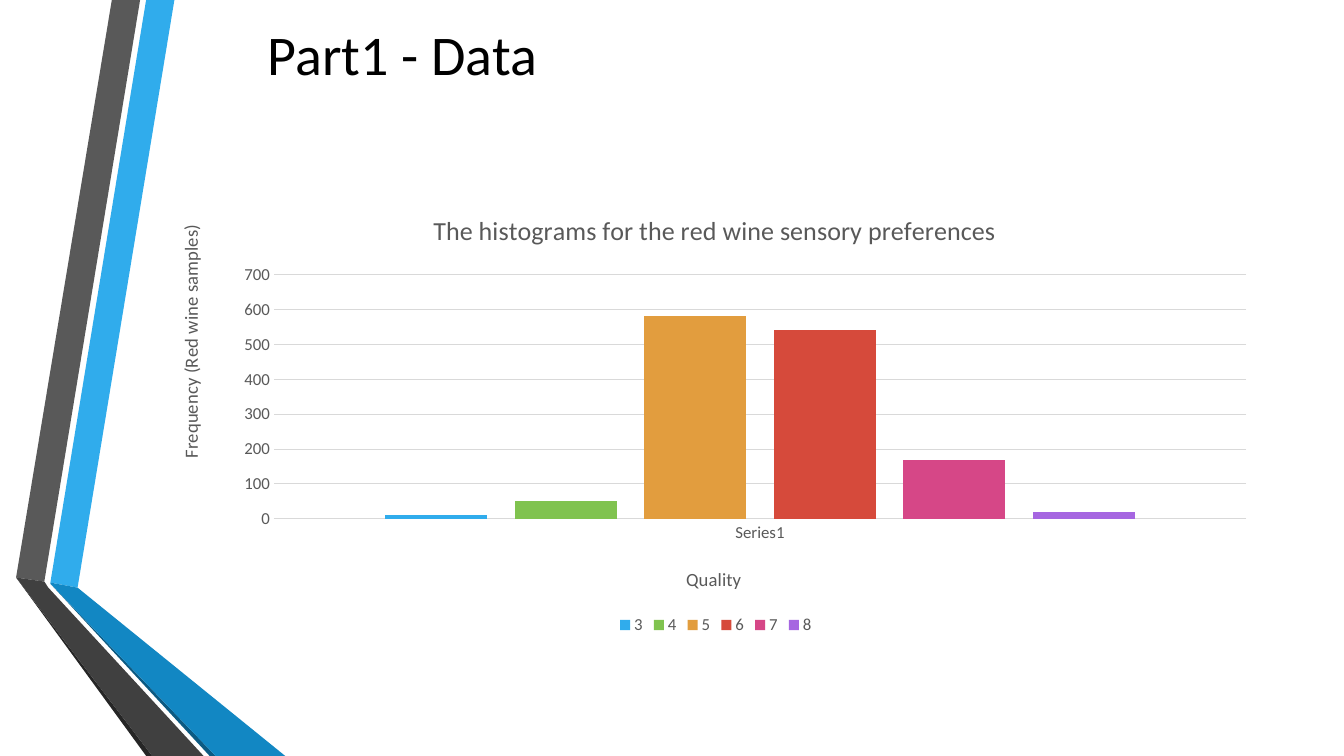
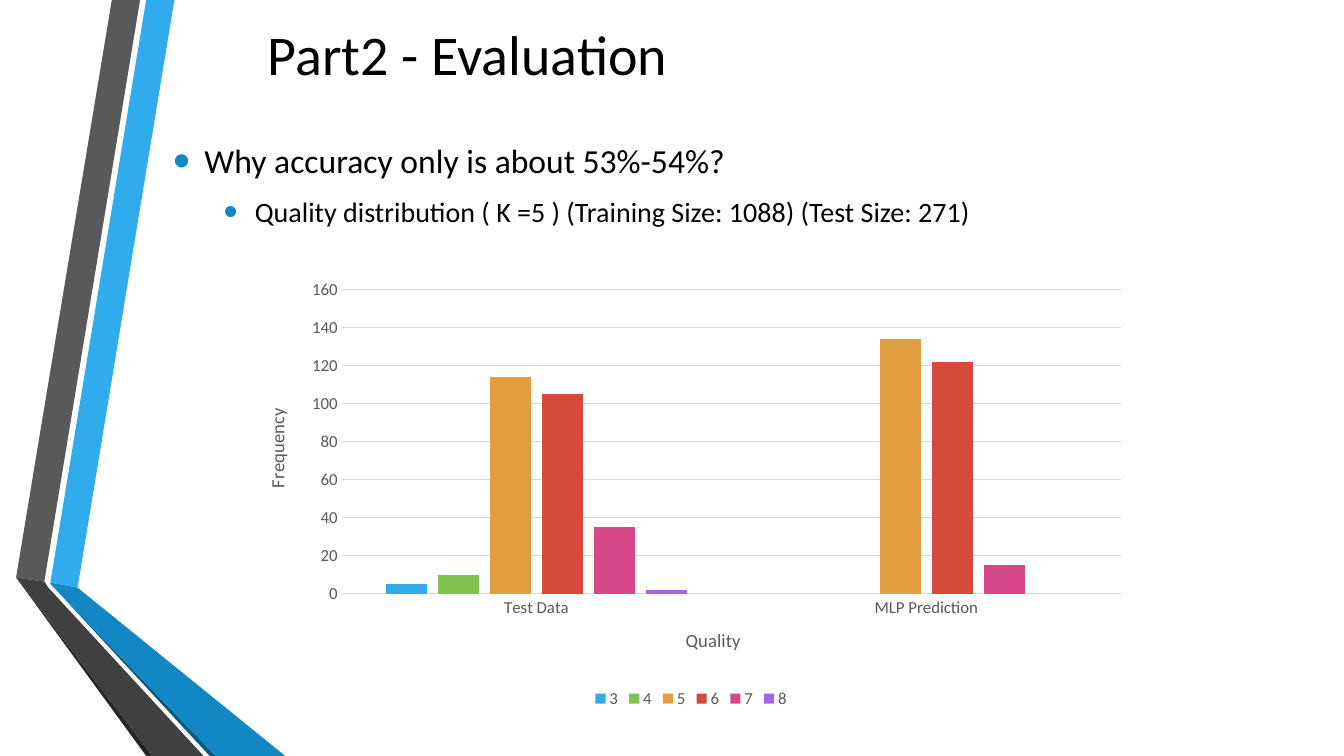
"""Build two slides on red wine quality, each with a column chart."""
import pptx
import pptx.chart.data
import pptx.dml.color
import pptx.enum.chart
import pptx.enum.text
import pptx.oxml
import pptx.oxml.ns
import pptx.util

Inches = pptx.util.Inches
Pt = pptx.util.Pt
RGBColor = pptx.dml.color.RGBColor
qn = pptx.oxml.ns.qn

FONT = "Calibri"
BLACK = RGBColor(0x00, 0x00, 0x00)
GREY = RGBColor(0x59, 0x59, 0x59)
PALE = RGBColor(0xD9, 0xD9, 0xD9)
COAL = RGBColor(0x26, 0x26, 0x26)
DARK = RGBColor(0x40, 0x40, 0x40)
SKY = RGBColor(0x30, 0xAC, 0xEC)
BLUE = RGBColor(0x12, 0x87, 0xC3)
NAVY = RGBColor(0x0C, 0x5A, 0x82)
GREEN = RGBColor(0x80, 0xC3, 0x4F)
AMBER = RGBColor(0xE2, 0x9D, 0x3E)
RED = RGBColor(0xD6, 0x4A, 0x3B)
PINK = RGBColor(0xD6, 0x47, 0x87)
PURPLE = RGBColor(0xA6, 0x66, 0xE1)

BANDS = [
    (SKY, [(0.5, 5.78), (0.77, 5.83), (1.73, 0), (1.45, 0)]),
    (GREY, [(1.39, 0), (1.11, 0), (0.16, 5.73), (0.44, 5.77)]),
    (COAL, [(0.16, 5.73), (1.45, 7.5), (1.51, 7.5)]),
    (NAVY, [(0.5, 5.79), (2.08, 7.5), (2.14, 7.5)]),
    (BLUE, [(0.5, 5.79), (2.14, 7.5), (2.83, 7.5), (0.77, 5.83), (0.5, 5.78)]),
    (DARK, [(2.02, 7.5), (0.48, 5.83), (0.44, 5.77), (0.16, 5.73), (1.51, 7.5)]),
]
GRADES = [("3", SKY), ("4", GREEN), ("5", AMBER), ("6", RED), ("7", PINK), ("8", PURPLE)]

PAGES = [
    {
        "title": "Part1 - Data",
        "points": [],
        "box": (1.62, 1.93, 10.96, 4.41),
        "head": "The histograms for the red wine sensory preferences",
        "groups": ["Series1"],
        "counts": [[10], [50], [580], [540], [170], [20]],
        "plot": (0.1, 0.18, 0.88, 0.55),
        "across": ("Quality", 0.47, 0.83),
        "up": ("Frequency (Red wine samples)", 0.01, 0.06),
        "top": 700,
        "step": 100,
    },
    {
        "title": "Part2 - Evaluation",
        "points": [
            ("Why accuracy only is about 53%-54%?", 24),
            ("Quality distribution ( K =5 ) (Training Size: 1088) (Test Size: 271)", 20),
        ],
        "box": (2.41, 2.7, 8.89, 4.37),
        "head": None,
        "groups": ["Test Data", "MLP Prediction"],
        "counts": [[5, None], [10, None], [114, 134], [105, 122], [35, 15], [2, None]],
        "plot": (0.11, 0.04, 0.87, 0.69),
        "across": ("Quality", 0.49, 0.8),
        "up": ("Frequency", 0.02, 0.3),
        "top": 160,
        "step": 20,
    },
]


def style(font, size, color):
    font.name = FONT
    font.size = Pt(size)
    font.bold = False
    font.color.rgb = color


def place(node, *spots):
    for old in node.findall(qn("c:layout")):
        node.remove(old)
    parts = "".join(f'<c:{key}Mode val="edge"/>' for key in "xy")
    parts += "".join(f'<c:{key} val="{spot}"/>' for key, spot in zip("xywh", spots))
    inner = '<c:layoutTarget val="inner"/>' if len(spots) == 4 else ""
    layout = pptx.oxml.parse_xml(
        f'<c:layout {pptx.oxml.ns.nsdecls("c")}><c:manualLayout>'
        f"{inner}{parts}</c:manualLayout></c:layout>"
    )
    node.insert(0 if node.find(qn("c:tx")) is None else 1, layout)


deck = pptx.Presentation()
deck.slide_width = Inches(13.33)
deck.slide_height = Inches(7.5)

for page in PAGES:
    slide = deck.slides.add_slide(deck.slide_layouts[6])
    for color, points in BANDS:
        start, *rest = [(Inches(left), Inches(top)) for left, top in points]
        pen = slide.shapes.build_freeform(*start)
        pen.add_line_segments(rest, close=True)
        band = pen.convert_to_shape()
        band.shadow.inherit = False
        band.fill.solid()
        band.fill.fore_color.rgb = color
        band.line.fill.background()

    title = slide.shapes.add_textbox(*map(Inches, (2.56, 0.04, 10.96, 0.98))).text_frame
    title.word_wrap = True
    title.vertical_anchor = pptx.enum.text.MSO_ANCHOR.MIDDLE
    title.text = page["title"]
    style(title.paragraphs[0].font, 40, BLACK)

    if page["points"]:
        body = slide.shapes.add_textbox(*map(Inches, (1.62, 1.34, 10.96, 4.99))).text_frame
        body.word_wrap = True
        for level, (text, size) in enumerate(page["points"]):
            para = body.add_paragraph() if level else body.paragraphs[0]
            para.text = text
            para.level = level
            para.space_before = Pt(size * 0.2)
            para.space_after = Pt(6)
            style(para.font, size, BLACK)
            props = para._p.get_or_add_pPr()
            props.set("marL", str(Inches(0.31 + level * 0.5)))
            props.set("indent", str(Inches(-0.31)))
            marks = pptx.oxml.parse_xml(
                f'<a:pPr {pptx.oxml.ns.nsdecls("a")}><a:buClr><a:srgbClr val="{BLUE}"/></a:buClr>'
                '<a:buSzPct val="145000"/><a:buFont typeface="Arial"/><a:buChar char="•"/></a:pPr>'
            )
            spot = props.index(props.find(qn("a:defRPr")))
            for shift, mark in enumerate(list(marks)):
                props.insert(spot + shift, mark)

    data = pptx.chart.data.CategoryChartData()
    data.categories = page["groups"]
    for (grade, color), counts in zip(GRADES, page["counts"]):
        data.add_series(grade, counts)
    chart = slide.shapes.add_chart(
        pptx.enum.chart.XL_CHART_TYPE.COLUMN_CLUSTERED, *map(Inches, page["box"]), data
    ).chart
    style(chart.font, 12, GREY)
    place(chart._chartSpace.chart.plotArea, *page["plot"])

    chart.has_title = page["head"] is not None
    if chart.has_title:
        head = chart.chart_title
        head.include_in_layout = False
        head.text_frame.text = page["head"]
        style(head.text_frame.paragraphs[0].font, 18.6, GREY)
        place(head._element, 0.24, 0.03)

    chart.has_legend = True
    chart.legend.position = pptx.enum.chart.XL_LEGEND_POSITION.BOTTOM
    chart.legend.include_in_layout = False
    style(chart.legend.font, 12, GREY)

    plot = chart.plots[0]
    plot.gap_width = 219
    plot.overlap = -27
    plot.vary_by_categories = False
    for series, (grade, color) in zip(plot.series, GRADES):
        series.format.fill.solid()
        series.format.fill.fore_color.rgb = color

    for axis, key, turn in ((chart.category_axis, "across", 0), (chart.value_axis, "up", -5400000)):
        text, left, top = page[key]
        axis.major_tick_mark = pptx.enum.chart.XL_TICK_MARK.NONE
        style(axis.tick_labels.font, 12, GREY)
        frame = axis.axis_title.text_frame
        frame.text = text
        style(frame.paragraphs[0].font, 13.3, GREY)
        frame._txBody.bodyPr.set("rot", str(turn))
        frame._txBody.bodyPr.set("vert", "horz")
        place(axis.axis_title._element, left, top)

    chart.category_axis.format.line.color.rgb = PALE
    chart.category_axis.format.line.width = Pt(0.75)
    scale = chart.value_axis
    scale.minimum_scale = 0
    scale.maximum_scale = page["top"]
    scale.major_unit = page["step"]
    scale.format.line.fill.background()
    scale.major_gridlines.format.line.color.rgb = PALE
    scale.major_gridlines.format.line.width = Pt(0.75)

deck.save("out.pptx")
